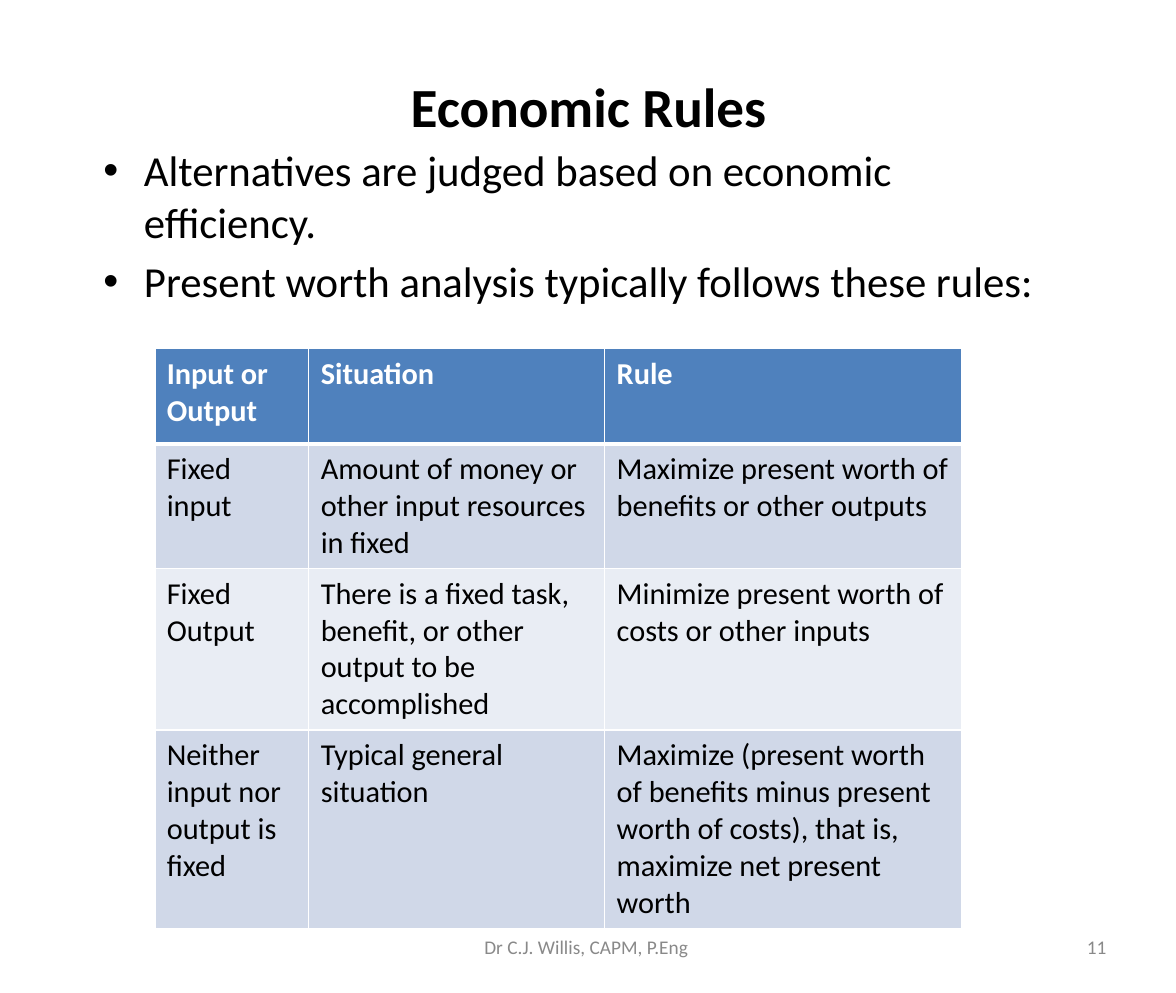
from dataclasses import dataclass

from lxml import etree
from pptx import Presentation
from pptx import util as u
from pptx.dml.color import RGBColor
from pptx.enum import text
from pptx.oxml import ns


@dataclass(frozen=True)
class Theme:
    font: str = "Calibri"
    ink: str = "000000"
    white: str = "FFFFFF"
    muted: str = "898989"
    header: str = "4F81BD"
    bands: tuple = ("D0D8E8", "E9EDF4")
    title_size: float = 40
    body_size: float = 31
    table_size: float = 22
    footer_size: float = 14
    thin_line: float = 1
    thick_line: float = 3


THEME = Theme()
TITLE = "Economic Rules"
POINTS = [
    "Alternatives are judged based on economic efficiency.",
    "Present worth analysis typically follows these rules:",
]
RULES = [
    ["Input or Output", "Situation", "Rule"],
    ["Fixed input", "Amount of money or other input resources in fixed",
     "Maximize present worth of benefits or other outputs"],
    ["Fixed Output",
     "There is a fixed task, benefit, or other output to be accomplished",
     "Minimize present worth of costs or other inputs"],
    ["Neither input nor output is fixed", "Typical general situation",
     "Maximize (present worth of benefits minus present worth of costs), "
     "that is, maximize net present worth"],
]
COLUMN_WIDTHS = [1.55, 2.98, 3.59]
ROW_HEIGHTS = [0.96, 1.23, 1.6, 1.97]


def place(shape, box):
    shape.left, shape.top, shape.width, shape.height = map(u.Inches, box)


def set_margins(target, side, end):
    target.margin_left = target.margin_right = u.Inches(side)
    target.margin_top = target.margin_bottom = u.Inches(end)


def prepare_frame(shape, anchor):
    frame = shape.text_frame
    frame.word_wrap = True
    frame.auto_size = text.MSO_AUTO_SIZE.NONE
    frame.vertical_anchor = anchor
    set_margins(frame, 0.11, 0.06)
    return frame


def add_run(paragraph, words, size, color, bold=False):
    run = paragraph.add_run()
    run.text = words
    font = run.font
    font.name, font.size, font.bold = THEME.font, u.Pt(size), bold
    font.color.rgb = RGBColor.from_string(color)


def add_bullet(paragraph, indent):
    properties = paragraph._p.get_or_add_pPr()
    properties.set("marL", str(u.Inches(indent)))
    properties.set("indent", str(-u.Inches(indent)))
    etree.SubElement(properties, ns.qn("a:buFont"), typeface="Arial")
    etree.SubElement(properties, ns.qn("a:buChar"), char="•")


def set_borders(cell, top, bottom):
    """Draw white cell borders; the side lines are always thin."""
    properties = cell._tc.get_or_add_tcPr()
    widths = {"L": THEME.thin_line, "R": THEME.thin_line, "T": top, "B": bottom}
    for position, (side, width) in enumerate(widths.items()):
        line = etree.Element(ns.qn(f"a:ln{side}"), w=str(u.Pt(width)))
        fill = etree.SubElement(line, ns.qn("a:solidFill"))
        etree.SubElement(fill, ns.qn("a:srgbClr"), val=THEME.white)
        properties.insert(position, line)


def build_title(slide, box):
    shape = slide.shapes.title
    place(shape, box)
    paragraph = prepare_frame(shape, text.MSO_ANCHOR.MIDDLE).paragraphs[0]
    paragraph.alignment = text.PP_ALIGN.CENTER
    add_run(paragraph, TITLE, THEME.title_size, THEME.ink, bold=True)


def build_points(slide, box):
    shape = slide.placeholders[1]
    place(shape, box)
    frame = prepare_frame(shape, text.MSO_ANCHOR.TOP)
    for index, words in enumerate(POINTS):
        paragraph = frame.add_paragraph() if index else frame.paragraphs[0]
        paragraph.space_before = u.Pt(6.2 if index else 0)
        add_bullet(paragraph, 0.41)
        add_run(paragraph, words, THEME.body_size, THEME.ink)


def build_rules_table(slide, left, top):
    box = (left, top, sum(COLUMN_WIDTHS), sum(ROW_HEIGHTS))
    table = slide.shapes.add_table(
        len(RULES), len(COLUMN_WIDTHS), *map(u.Inches, box)).table
    for column, width in zip(table.columns, COLUMN_WIDTHS):
        column.width = u.Inches(width)
    for row_index, (row, height) in enumerate(zip(table.rows, ROW_HEIGHTS)):
        row.height = u.Inches(height)
        is_header = row_index == 0
        fill = THEME.header if is_header else THEME.bands[(row_index - 1) % 2]
        # The heavy rule lies between the header and the first data row
        top_line = THEME.thick_line if row_index == 1 else THEME.thin_line
        bottom_line = THEME.thick_line if is_header else THEME.thin_line
        for cell, words in zip(row.cells, RULES[row_index]):
            cell.fill.solid()
            cell.fill.fore_color.rgb = RGBColor.from_string(fill)
            set_margins(cell, 0.12, 0.07)
            set_borders(cell, top_line, bottom_line)
            add_run(cell.text_frame.paragraphs[0], words, THEME.table_size,
                    THEME.white if is_header else THEME.ink, bold=is_header)


def build_footer(slide, words, box, alignment):
    shape = slide.shapes.add_textbox(*map(u.Inches, box))
    paragraph = prepare_frame(shape, text.MSO_ANCHOR.MIDDLE).paragraphs[0]
    paragraph.alignment = alignment
    add_run(paragraph, words, THEME.footer_size, THEME.muted)


def main():
    presentation = Presentation()
    presentation.slide_width = u.Inches(11.84)
    presentation.slide_height = u.Inches(10)
    slide = presentation.slides.add_slide(presentation.slide_layouts[1])

    # Heading and list
    build_title(slide, (0.85, 0.43, 10.15, 1.27))
    build_points(slide, (0.93, 1.39, 9.93, 7.51))

    # Decision rules
    build_rules_table(slide, 1.56, 3.51)

    # Page number and author
    build_footer(slide, "11", (8.49, 9.27, 2.76, 0.53), text.PP_ALIGN.RIGHT)
    build_footer(slide, "Dr C.J. Willis, CAPM, P.Eng ",
                 (4.05, 9.27, 3.75, 0.53), text.PP_ALIGN.CENTER)
    presentation.save("out.pptx")


if __name__ == "__main__":
    main()
